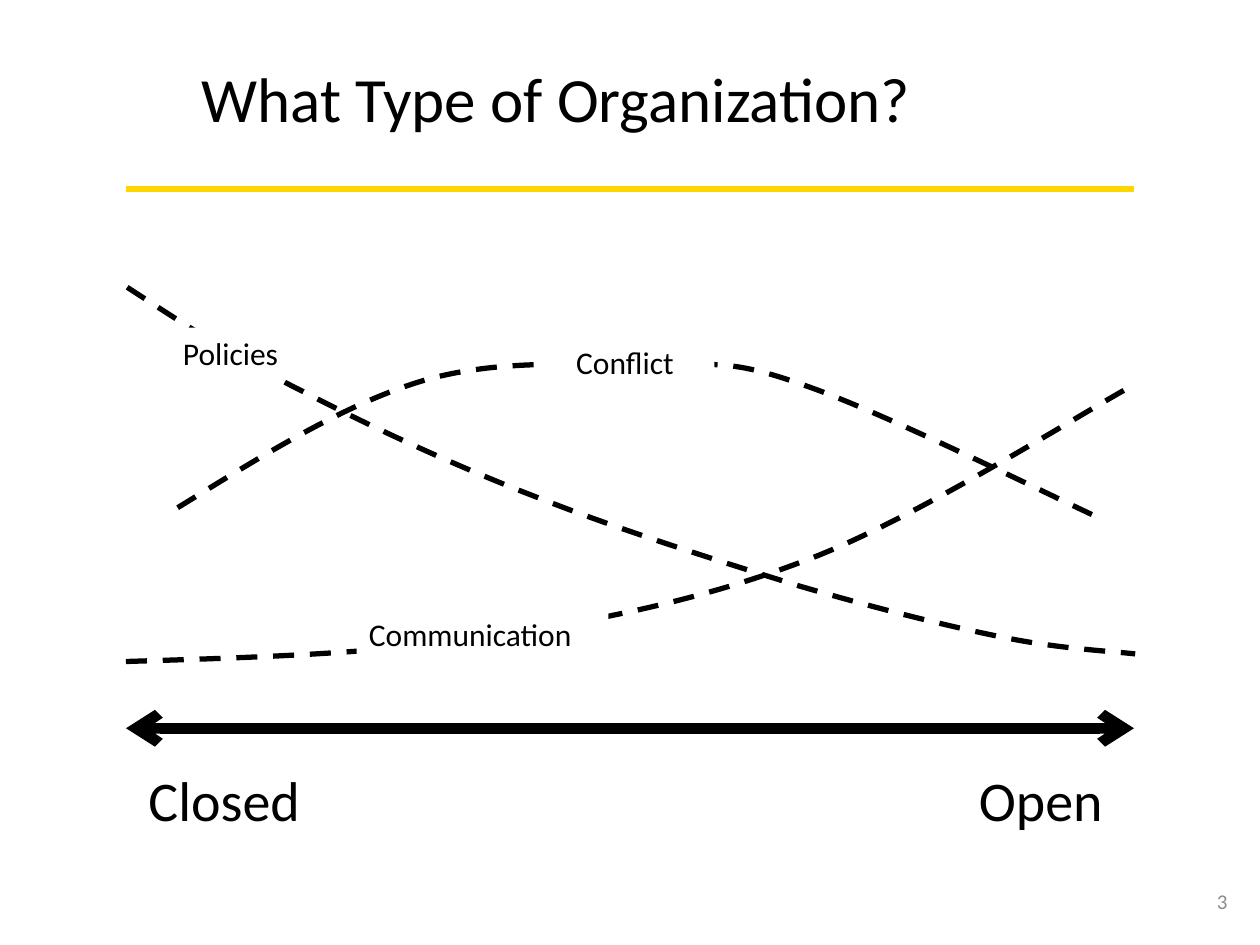
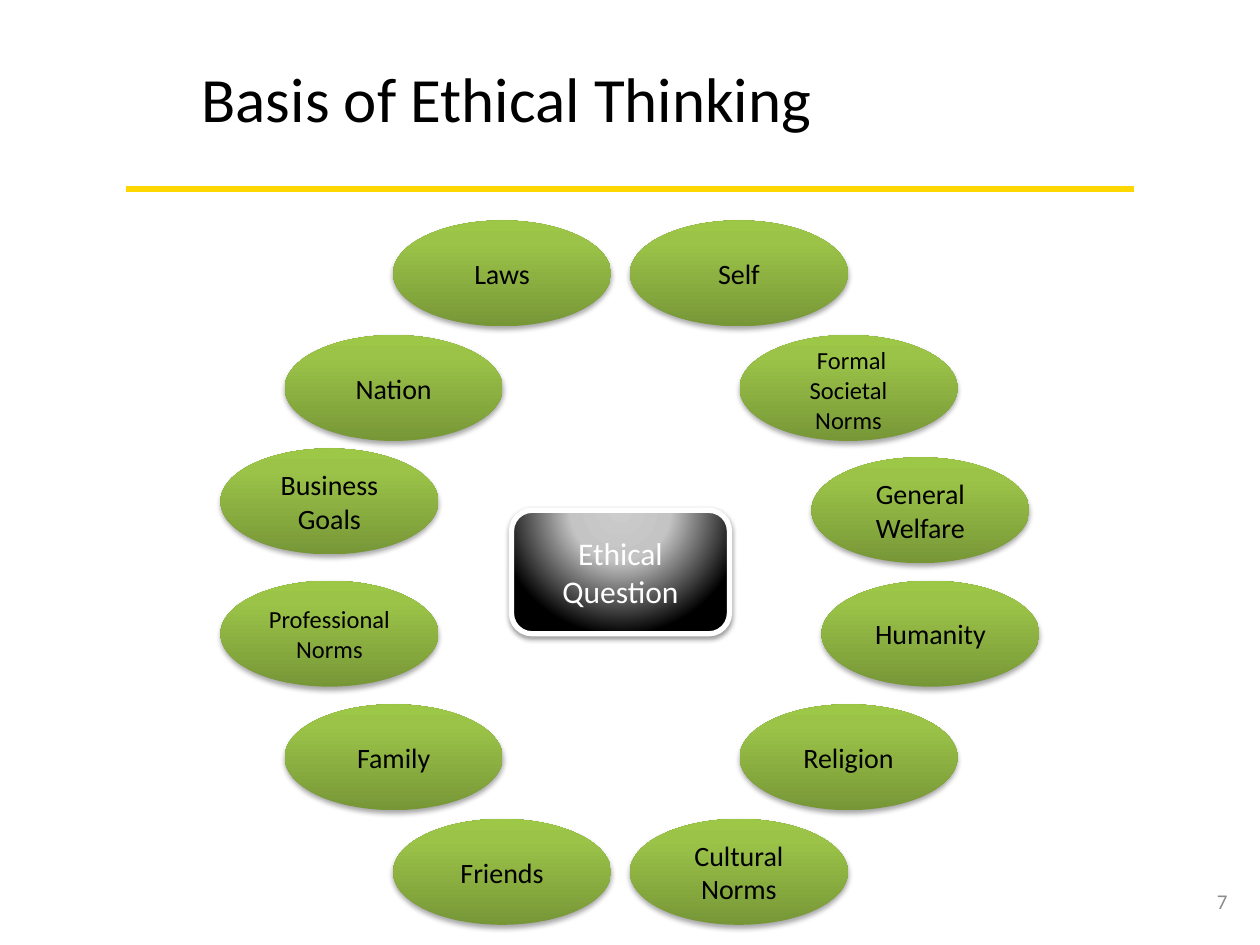
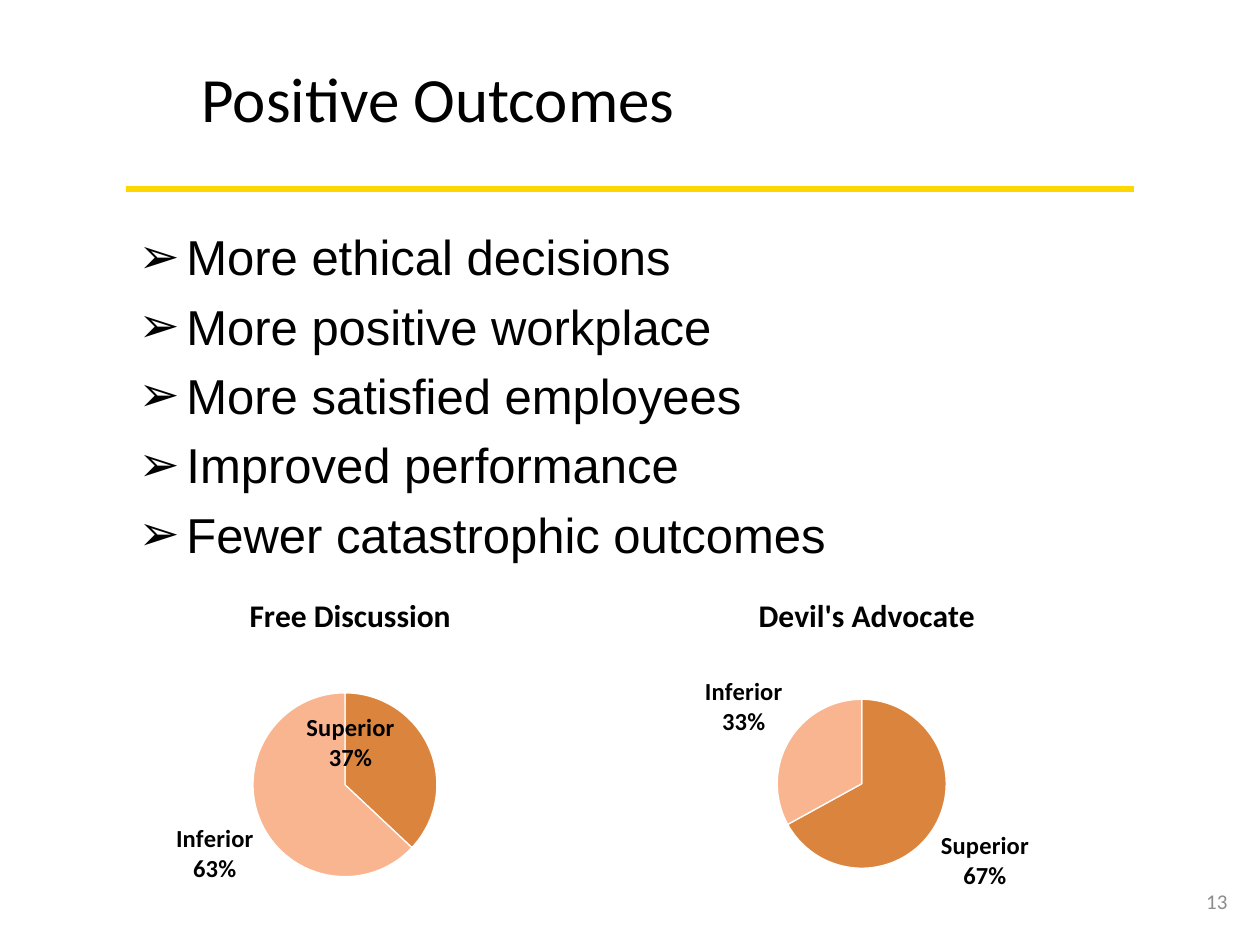
from pptx import Presentation
from pptx.chart.data import CategoryChartData
from pptx.dml.color import RGBColor
from pptx.enum import chart as ch, dml, shapes, text
from pptx.oxml import parse_xml
from pptx.oxml.ns import nsdecls, qn
from pptx.util import Inches, Pt

BLACK = RGBColor(0x00, 0x00, 0x00)
WHITE = RGBColor(0xFF, 0xFF, 0xFF)
GOLD = RGBColor(0xFF, 0xD7, 0x00)
GREY = RGBColor(0x8C, 0x8C, 0x8C)
ORANGE = RGBColor(0xDB, 0x84, 0x3D)
PEACH = RGBColor(0xF9, 0xB5, 0x90)
GREEN_STOPS = [(0, RGBColor(0x77, 0x97, 0x37)), (80, RGBColor(0x9B, 0xC3, 0x48)),
               (100, RGBColor(0x9D, 0xC7, 0x46))]
BLACK_STOPS = [(0, RGBColor(0xCC, 0xCC, 0xCC)), (40, RGBColor(0xC4, 0xC4, 0xC4)),
               (100, BLACK)]
UPWARD = '<a:lin ang="16200000" scaled="0"/>'
FROM_TOP = ('<a:path path="circle"><a:fillToRect l="50000" t="-80000" '
            'r="50000" b="180000"/></a:path>')

LEFT, CENTER, RIGHT = text.PP_ALIGN.LEFT, text.PP_ALIGN.CENTER, text.PP_ALIGN.RIGHT
TOP, MIDDLE = text.MSO_ANCHOR.TOP, text.MSO_ANCHOR.MIDDLE

# Each curve is a start point followed by Bezier segments of three points.
# The label beside it: text, left, top, width, alignment.
TRENDS = [
    ([(1, 5.25), (1.98, 5.22), (2.96, 5.19), (3.86, 5.06), (4.77, 4.92), (5.59, 4.76),
      (6.44, 4.43), (7.29, 4.1), (8.5, 3.33), (8.97, 3.07)],
     ("Communication", 2.83, 4.83, 2, LEFT)),
    ([(1.01, 2.28), (1.44, 2.56), (1.87, 2.84), (2.41, 3.11), (2.95, 3.39), (3.62, 3.7),
      (4.27, 3.95), (4.93, 4.21), (5.73, 4.46), (6.34, 4.65), (6.96, 4.83), (7.52, 4.97),
      (7.97, 5.06), (8.41, 5.15), (8.84, 5.17), (9.01, 5.19)],
     ("Policies", 0.83, 2.6, 2, CENTER)),
    ([(1.41, 4.03), (2.06, 3.63), (2.71, 3.22), (3.33, 3.03), (3.95, 2.84), (4.63, 2.9),
      (5.14, 2.9), (5.64, 2.9), (5.77, 2.84), (6.36, 3.05), (6.96, 3.25), (8.29, 3.91),
      (8.7, 4.1)],
     ("Conflict", 4.25, 2.67, 1.42, CENTER)),
]
SCALE_ENDS = [("Closed", 1.08, 1.42), ("Open", 7.67, 1.2)]

# Left, top, then runs of text and size
INFLUENCES = [
    (3.12, 1.75, ("Laws", 16)), (2.26, 2.66, ("Nation", 16)),
    (1.75, 3.56, ("Business Goals", 16)), (1.75, 4.61, ("Professional Norms", 14)),
    (2.26, 5.59, ("Family", 16)), (3.12, 6.5, ("Friends", 16)),
    (5, 1.75, ("Self", 16)), (5.87, 2.66, (" ", 16), ("Formal Societal Norms", 14)),
    (6.44, 3.63, ("General Welfare", 16)), (6.52, 4.61, ("Humanity", 16)),
    (5.87, 5.59, ("Religion", 16)), (5, 6.5, ("Cultural Norms", 16)),
]

OUTCOMES = ["More ethical decisions", "More positive workplace", "More satisfied employees",
            "Improved performance", "Fewer catastrophic outcomes"]
RESULTS = ["Superior", "Inferior"]
# Title, values, chart box, pie centre and radius, shift of the first label
PIES = [
    ("Free Discussion", (37, 63), (0.44, 4.56, 4.68, 2.78), (2.74, 6.23, 0.73), (-0.22, 0.08)),
    ("Devil's Advocate", (67, 33), (4.51, 4.56, 4.74, 2.76), (6.84, 6.22, 0.67), None),
]


def style_font(font, size, color=BLACK, name="Calibri", bold=None):
    font.size, font.name, font.bold = Pt(size), name, bold
    font.color.rgb = color


def write(sp, content, size, color=BLACK, align=LEFT, anchor=TOP, wrap=True, name="Calibri"):
    tf = sp.text_frame
    tf.text = content
    tf.word_wrap, tf.vertical_anchor = wrap, anchor
    for p in tf.paragraphs:
        p.alignment = align
        for r in p.runs:
            style_font(r.font, size, color, name)


def place(sp, *box):
    sp.left, sp.top, sp.width, sp.height = map(Inches, box)


def add_text(s, content, box, size, **look):
    sp = s.shapes.add_textbox(*map(Inches, box))
    write(sp, content, size, **look)


def add_line(s, y, color, width):
    line = s.shapes.add_connector(shapes.MSO_CONNECTOR.STRAIGHT,
                                  Inches(1), Inches(y), Inches(9), Inches(y))
    line.line.color.rgb, line.line.width = color, Pt(width)
    line.element.spPr.append(parse_xml(f'<a:effectLst {nsdecls("a")}/>'))
    return line


def add_slide(prs, layout, title, title_width, number):
    s = prs.slides.add_slide(prs.slide_layouts[layout])
    place(s.shapes.title, 1.5, 0.42, title_width, 0.71)
    write(s.shapes.title, title, 36, wrap=False)
    s.shapes.title.text_frame.auto_size = text.MSO_AUTO_SIZE.SHAPE_TO_FIT_TEXT
    add_text(s, str(number), (9.42, 6.95, 0.42, 0.4), 12, color=GREY, align=RIGHT, anchor=MIDDLE)
    return s


def add_curve(s, points):
    """Draw the control points as a freeform, then join each three into a Bezier segment."""
    start, *rest = [(Inches(x), Inches(y)) for x, y in points]
    builder = s.shapes.build_freeform(*start)
    builder.add_line_segments(rest, close=False)
    curve = builder.convert_to_shape()
    outline = curve.element.find(".//" + qn("a:path"))
    lines = outline.findall(qn("a:lnTo"))
    for i in range(0, len(lines), 3):
        segment = parse_xml(f'<a:cubicBezTo {nsdecls("a")}/>')
        outline.append(segment)
        for line in lines[i:i + 3]:
            segment.append(line[0])
            outline.remove(line)
    curve.shadow.inherit = False
    curve.fill.background()
    curve.line.color.rgb, curve.line.width = BLACK, Pt(3)
    curve.line.dash_style = dml.MSO_LINE.DASH


def add_shape(s, kind, box):
    sp = s.shapes.add_shape(kind, *map(Inches, box))
    sp.shadow.inherit = False
    sp.line.fill.background()
    return sp


def add_glossy(s, kind, box, stops, direction, opacity, distance):
    """Add a shape with a gradient fill and a soft shadow below it."""
    sp = add_shape(s, kind, box)
    gs = "".join(f'<a:gs pos="{pos * 1000}"><a:srgbClr val="{color}"/></a:gs>'
                 for pos, color in stops)
    spPr = sp.element.spPr
    spPr.find(qn("a:prstGeom")).addnext(parse_xml(
        f'<a:gradFill {nsdecls("a")} rotWithShape="1"><a:gsLst>{gs}</a:gsLst>'
        f'{direction}</a:gradFill>'))
    spPr.find(qn("a:effectLst")).append(parse_xml(
        f'<a:outerShdw {nsdecls("a")} blurRad="{Pt(3.1)}" dist="{Pt(distance)}" dir="5400000" '
        f'rotWithShape="0"><a:srgbClr val="000000"><a:alpha val="{opacity * 1000}"/>'
        '</a:srgbClr></a:outerShdw>'))
    return sp


def manual_layout(**values):
    parts = "".join(f'<c:{tag} val="{val}"/>' for tag, val in values.items())
    return parse_xml(f'<c:layout {nsdecls("c")}><c:manualLayout>{parts}'
                     '</c:manualLayout></c:layout>')


def label_slices(series, shift):
    """Label slices with name and share on two lines; shift moves the first label."""
    labels = series.data_labels
    labels.show_value, labels.show_category_name, labels.show_percentage = False, True, True
    owners = [labels._element]
    styled = [labels]
    if shift:
        styled.append(series.points[0].data_label)
    for label in styled:
        style_font(label.font, 14, bold=True)
        label.position = ch.XL_LABEL_POSITION.OUTSIDE_END
    if shift:
        dLbl = labels._element.find(qn("c:dLbl"))
        for tag, shown in (("showVal", 0), ("showCatName", 1), ("showPercent", 1)):
            dLbl.find(qn(f"c:{tag}")).set("val", str(shown))
        dLbl.find(qn("c:idx")).addnext(manual_layout(x=shift[0], y=shift[1]))
        owners.append(dLbl)
    for owner in owners:
        flags = [owner.find(qn(f"c:{tag}")) for tag in ("showPercent", "showBubbleSize")]
        last = [flag for flag in flags if flag is not None][-1]
        last.addnext(parse_xml(f'<c:separator {nsdecls("c")}>\n</c:separator>'))


def add_pie(s, title, values, box, pie, shift):
    data = CategoryChartData()
    data.categories = RESULTS
    data.add_series(title, values)
    chart = s.shapes.add_chart(ch.XL_CHART_TYPE.PIE, *map(Inches, box), data).chart
    style_font(chart.font, 10)
    chart.has_legend = False
    chart.has_title = True
    chart.chart_title.text_frame.text = title
    style_font(chart.chart_title.text_frame.paragraphs[0].runs[0].font, 18, bold=True)

    plot = chart.plots[0]
    plot.vary_by_categories = True
    series = plot.series[0]
    for i, color in enumerate((ORANGE, PEACH)):
        form = series.points[i].format
        form.fill.solid()
        form.fill.fore_color.rgb = color
        form.line.color.rgb, form.line.width = WHITE, Pt(0.75)
    label_slices(series, shift)

    left, top, width, height = box
    x, y, radius = pie
    area = chart.element.find(".//" + qn("c:plotArea"))
    for old in area.findall(qn("c:layout")):
        area.remove(old)
    area.insert(0, manual_layout(
        layoutTarget="inner", xMode="edge", yMode="edge",
        x=round((x - radius - left) / width, 3), y=round((y - radius - top) / height, 3),
        w=round(2 * radius / width, 3), h=round(2 * radius / height, 3)))


def organization_slide(prs):
    s = add_slide(prs, 5, "What Type of Organization?", 5.85, 3)
    scale = add_line(s, 5.78, BLACK, 6)
    for end in ("headEnd", "tailEnd"):
        scale.line._ln.append(parse_xml(f'<a:{end} {nsdecls("a")} type="arrow"/>'))
    for name, x, width in SCALE_ENDS:
        add_text(s, name, (x, 6.03, width, 0.64), 32, wrap=False)
    for points, (name, x, y, width, align) in TRENDS:
        add_curve(s, points)
        sp = add_shape(s, shapes.MSO_SHAPE.RECTANGLE, (x, y, width, 0.4))
        sp.fill.solid()
        sp.fill.fore_color.rgb = WHITE
        write(sp, name, 18, align=align)
    return s


def ethics_slide(prs):
    s = add_slide(prs, 5, "Basis of Ethical Thinking", 5.09, 7)
    ring = s.shapes.add_group_shape()
    for x, y, (first, size), *more in INFLUENCES:
        sp = add_glossy(ring, shapes.MSO_SHAPE.OVAL, (x, y, 1.73, 0.84),
                        GREEN_STOPS, UPWARD, 35, 1.8)
        write(sp, first, size, align=CENTER, anchor=MIDDLE)
        for content, run_size in more:
            r = sp.text_frame.paragraphs[0].add_run()
            r.text = content
            style_font(r.font, run_size)
    sp = add_glossy(ring, shapes.MSO_SHAPE.ROUNDED_RECTANGLE, (4.06, 4.05, 1.73, 0.98),
                    BLACK_STOPS, FROM_TOP, 38, 1.6)
    sp.line.color.rgb, sp.line.width = WHITE, Pt(3)
    write(sp, "Ethical Question", 18, color=WHITE, align=CENTER, anchor=MIDDLE)


def outcomes_slide(prs):
    s = add_slide(prs, 1, "Positive Outcomes", 3.99, 13)
    body = s.placeholders[1]
    place(body, 1, 1.75, 8.5, 2.79)
    write(body, "\n".join(OUTCOMES), 28, name="Arial")
    body.text_frame.auto_size = text.MSO_AUTO_SIZE.SHAPE_TO_FIT_TEXT
    for p in body.text_frame.paragraphs:
        p.space_before = Pt(6)
        pPr = p._p.get_or_add_pPr()
        pPr.set("marL", str(Inches(0.38)))
        pPr.set("indent", str(-Inches(0.38)))
        pPr.append(parse_xml(f'<a:buChar {nsdecls("a")} char="➢"/>'))
    for pie in PIES:
        add_pie(s, *pie)


def main():
    prs = Presentation()
    prs.slide_width, prs.slide_height = Inches(10), Inches(7.5)
    s = organization_slide(prs)
    rule = add_line(s, 1.5, GOLD, 4)
    prs.slide_master.shapes.element.append(rule.element)  # shared by all slides
    ethics_slide(prs)
    outcomes_slide(prs)
    prs.save("out.pptx")


if __name__ == "__main__":
    main()
